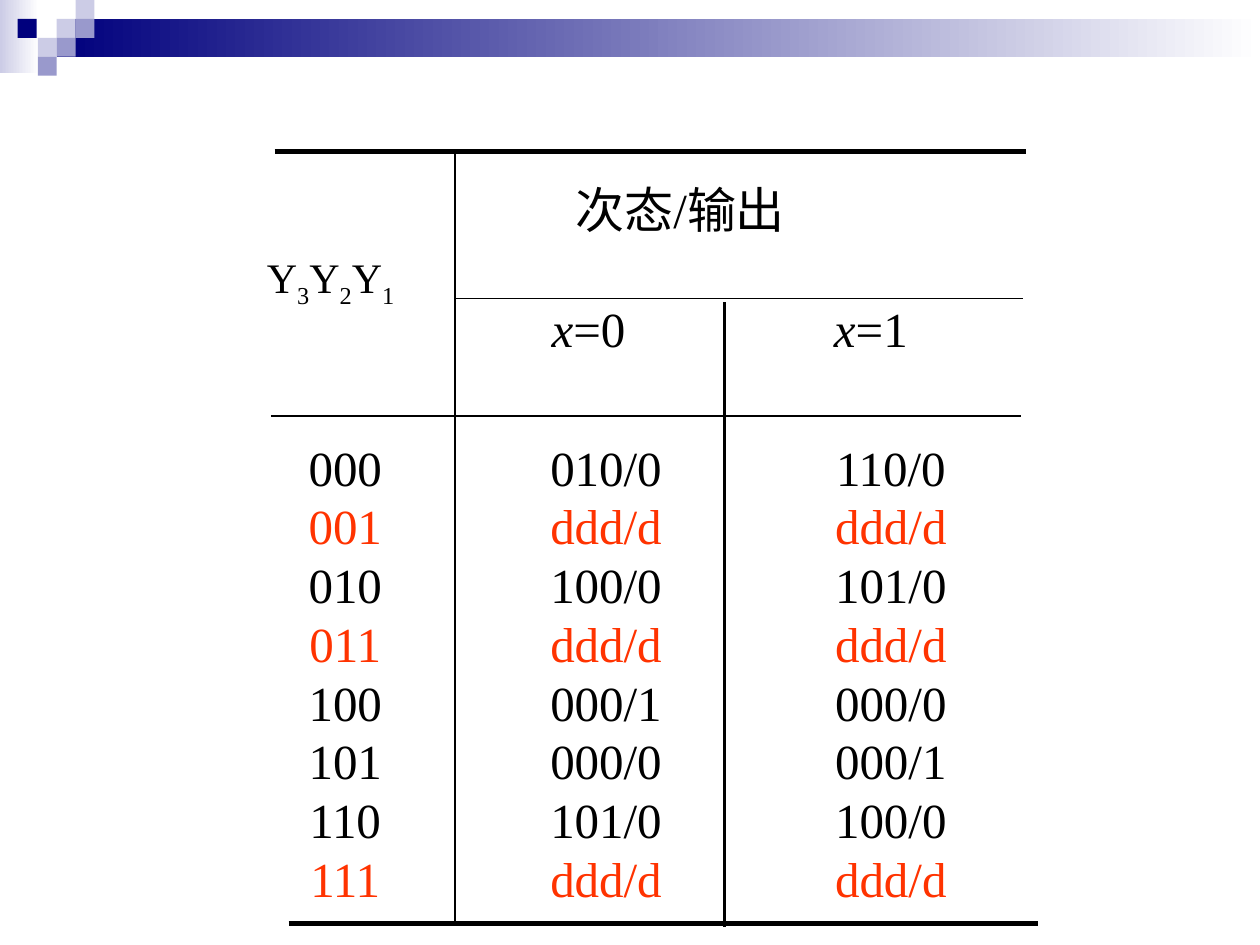
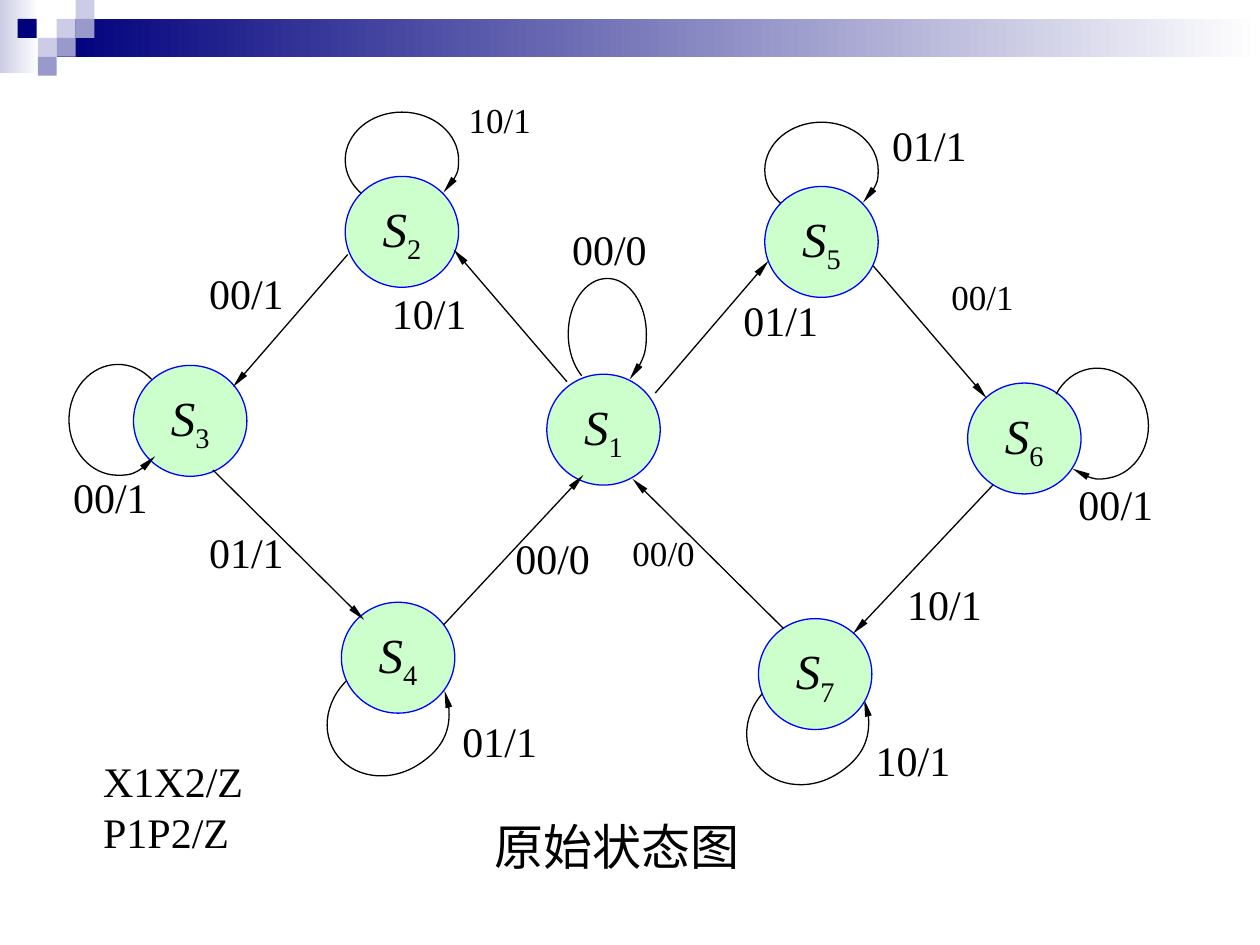
from math import ceil, cos, floor, radians, sin, tan

from lxml.etree import SubElement
from pptx import Presentation
from pptx.dml.color import RGBColor
from pptx.enum.shapes import MSO_CONNECTOR, MSO_SHAPE
from pptx.enum.text import MSO_ANCHOR, PP_ALIGN
from pptx.oxml.ns import qn
from pptx.util import Pt

PX = 9144  # 100 px to the inch
FONT = "Times New Roman"
COLORS = {
    "black": "000000", "white": "FFFFFF", "navy": "00007D", "lilac": "CCCCE6",
    "violet": "9999CC", "red": "FF3300", "green": "CCFFCC", "blue": "0000FF",
}
RGB = {name: RGBColor.from_string(value) for name, value in COLORS.items()}


def write_text(shape, paragraphs, size, alignment=PP_ALIGN.LEFT, margins=(10, 5), wrap=False):
    """Fill a shape; each paragraph is a list of (text, style), style "", "italic" or "sub"."""
    frame = shape.text_frame
    frame.word_wrap = wrap
    frame.vertical_anchor = MSO_ANCHOR.TOP
    frame.margin_left = frame.margin_right = margins[0] * PX
    frame.margin_top = frame.margin_bottom = margins[1] * PX
    for index, spans in enumerate(paragraphs):
        para = frame.paragraphs[0] if index == 0 else frame.add_paragraph()
        para.alignment = alignment
        has_subscript = any(style == "sub" for _, style in spans)
        para.line_spacing = Pt((1.36 if has_subscript else 1.2) * size)
        for text, style in spans:
            span = para.add_run()
            span.text = text
            span.font.name = FONT
            span.font.size = Pt(size)
            span.font.color.rgb = RGB["black"]
            span.font.italic = style == "italic"
            if style == "sub":
                span.font._element.set("baseline", "-25000")


def style_line(shape, width, arrow=False):
    """Give a black line without shadow, with an arrowhead at its end if wanted."""
    shape.line.color.rgb = RGB["black"]
    shape.line.width = Pt(width)
    if arrow:
        SubElement(shape.line._get_or_add_ln(), qn("a:tailEnd"), type="triangle", w="sm", len="lg")
    SubElement(shape._element.spPr, qn("a:effectLst"))


deck = Presentation()
deck.slide_width, deck.slide_height = 1000 * PX, 750 * PX
master = deck.slide_master
master.background.fill.solid()
master.background.fill.fore_color.rgb = RGB["white"]
blank = deck.slide_layouts[6]
table_page = deck.slides.add_slide(blank)
diagram_page = deck.slides.add_slide(blank)

# Shared band and squares, moved to the back of the master
band_parts = [
    (0, 0, 31, 58, "lilac", "white"),
    (45, 15, 955, 30, "navy", "white"),
    (45, 15, 15, 15, "lilac", None),
    (60, 0, 15, 15, "lilac", None),
    (60, 15, 15, 15, "violet", None),
    (30, 30, 15, 15, "lilac", None),
    (14, 15, 15, 15, "navy", None),
    (45, 30, 15, 15, "violet", None),
    (30, 45, 15, 15, "violet", None),
]
for position, (left, top, width, height, color, fade) in enumerate(band_parts):
    part = table_page.shapes.add_shape(
        MSO_SHAPE.RECTANGLE, left * PX, top * PX, width * PX, height * PX)
    part.shadow.inherit = False
    part.line.fill.background()
    if fade:
        part.fill.gradient()
        part.fill.gradient_angle = 0
        for stop, name in zip(part.fill.gradient_stops, (color, fade)):
            stop.color.rgb = RGB[name]
    else:
        part.fill.solid()
        part.fill.fore_color.rgb = RGB[color]
    master.shapes._spTree.insert(2 + position, part._element)

# Slide 1: state table
rules = [
    (218, 120, 814, 120, 3),
    (229, 733, 824, 733, 3),
    (361, 120, 361, 735, 1.5),
    (575, 240, 575, 736, 1.5),
    (361, 237, 812, 237, 1),
    (215, 330, 810, 330, 1),
]
for x1, y1, x2, y2, width in rules:
    rule = table_page.shapes.add_connector(
        MSO_CONNECTOR.STRAIGHT, x1 * PX, y1 * PX, x2 * PX, y2 * PX)
    style_line(rule, width)

state_variables = [span for digit in "321" for span in (("Y", ""), (digit, "sub"))]
headings = [
    (202, 195, 126, 50, state_variables, 24, False),
    (447, 138, 187, 57, [("次态/输出", "")], 28, True),
    (428, 232, 79, 57, [("x", "italic"), ("=0", "")], 28, False),
    (652, 232, 79, 57, [("x", "italic"), ("=1", "")], 28, False),
]
for left, top, width, height, spans, size, wrap in headings:
    box = table_page.shapes.add_textbox(left * PX, top * PX, width * PX, height * PX)
    write_text(box, [spans], size, wrap=wrap)

columns = [
    (225, 98, ["000", "001", "010", "011", "100", "101", "110", "111"]),
    (403, 156, ["010/0", "ddd/d", "100/0", "ddd/d", "000/1", "000/0", "101/0", "ddd/d"]),
    (613, 188, ["110/0", "ddd/d", "101/0", "ddd/d", "000/0", "000/1", "100/0", "ddd/d"]),
]
unused_rows = (1, 3, 7)
for left, width, values in columns:
    box = table_page.shapes.add_textbox(left * PX, 342 * PX, width * PX, 384 * PX)
    write_text(box, [[(value, "")] for value in values], 28, PP_ALIGN.CENTER, wrap=True)
    for row in unused_rows:
        box.text_frame.paragraphs[row].runs[0].font.color.rgb = RGB["red"]

# Slide 2: state diagram
labels = [
    (590, 234, "01/1", 24), (409, 423, "00/0", 24), (58, 374, "00/1", 24),
    (856, 380, "00/1", 24), (755, 219, "00/1", 20), (367, 568, "01/1", 24),
    (502, 422, "00/0", 20), (311, 228, "10/1", 24), (454, 177, "00/0", 24),
    (372, 78, "10/1", 20), (166, 418, "01/1", 24), (166, 212, "00/1", 24),
    (695, 583, "10/1", 24), (720, 459, "10/1", 24), (708, 95, "01/1", 24),
]
for left, top, text, size in labels:
    box = diagram_page.shapes.add_textbox(left * PX, top * PX, 60 * PX, 65 * PX)
    write_text(box, [[(text, "")]], size, PP_ALIGN.JUSTIFY, margins=(0, 0), wrap=True)

# State: left, top; self-loop: left, top, radii, rotation, start and end angle; loop in front
states = {
    "3": ((106, 290), (45, 299, 44, 39, 270, 403, 131), True),
    "1": ((434, 297), (451, 221, 31, 44, 0, 131, 415), True),
    "2": ((274, 140), (274, 89, 45, 38, 0, 86, 403), False),
    "4": ((271, 478), (264, 520, 44, 50, 237.8, 90, -263), False),
    "6": ((768, 304), (833, 301, 44, 39, 79.8, 131, 404), True),
    "5": ((607, 148), (607, 97, 45, 38, 0, 86, 403), False),
    "7": ((602, 491), (597, 527, 44, 50, 237.8, 90, -263), False),
}
for number, ((left, top), loop, loop_in_front) in states.items():
    loop_left, loop_top, radius_x, radius_y, rotation, start, end = loop
    center_x, center_y = loop_left + radius_x, loop_top + radius_y
    low, high = min(start, end), max(start, end)
    quarters = [90 * turn for turn in range(floor(low / 90) + 1, ceil(high / 90))]
    angles = [low, *quarters, high] if start < end else [high, *reversed(quarters), low]

    # Three points for each Bézier curve between two neighbouring angles
    points = [(cos(radians(start)), sin(radians(start)))]
    for first, last in zip(angles, angles[1:]):
        a, b = radians(first), radians(last)
        handle = 4 / 3 * tan((b - a) / 4)
        points += [
            (cos(a) - handle * sin(a), sin(a) + handle * cos(a)),
            (cos(b) + handle * sin(b), sin(b) - handle * cos(b)),
            (cos(b), sin(b)),
        ]
    corners = [(round((center_x + radius_x * x) * PX), round((center_y + radius_y * y) * PX))
               for x, y in points]
    builder = diagram_page.shapes.build_freeform(*corners[0])
    builder.add_line_segments(corners[1:], close=False)
    self_loop = builder.convert_to_shape()
    outline = next(self_loop._element.iter(qn("a:path")))
    segments = outline.findall(qn("a:lnTo"))
    for index in range(0, len(segments), 3):
        curve = SubElement(outline, qn("a:cubicBezTo"))
        for segment in segments[index:index + 3]:
            curve.append(segment[0])
            outline.remove(segment)
    self_loop.rotation = rotation
    self_loop.fill.background()
    style_line(self_loop, 0.75, arrow=True)

    state = diagram_page.shapes.add_shape(
        MSO_SHAPE.OVAL, left * PX, top * PX, 90 * PX, 88 * PX)
    state.shadow.inherit = False
    state.fill.solid()
    state.fill.fore_color.rgb = RGB["green"]
    state.line.color.rgb = RGB["blue"]
    state.line.width = Pt(0.75)
    write_text(state, [[("S", "italic"), (number, "sub")]], 28, PP_ALIGN.CENTER,
               margins=(0, 5), wrap=True)
    if loop_in_front:
        self_loop._element.addprevious(state._element)

transitions = [
    (276, 202, 185, 307), (169, 373, 289, 492), (352, 496, 463, 377),
    (450, 303, 360, 198), (520, 312, 610, 207), (622, 499, 502, 380),
    (788, 385, 677, 503), (693, 211, 783, 316),
]
for x1, y1, x2, y2 in transitions:
    transition = diagram_page.shapes.add_connector(
        MSO_CONNECTOR.STRAIGHT, x1 * PX, y1 * PX, x2 * PX, y2 * PX)
    style_line(transition, 0.75, arrow=True)

caption = diagram_page.shapes.add_textbox(382 * PX, 643 * PX, 215 * PX, 57 * PX)
write_text(caption, [[("原始状态图", "")]], 28, PP_ALIGN.CENTER)
legend = diagram_page.shapes.add_textbox(72 * PX, 595 * PX, 131 * PX, 90 * PX)
write_text(legend, [[("X1X2/Z", "")], [("P1P2/Z", "")]], 24)

deck.save("out.pptx")
